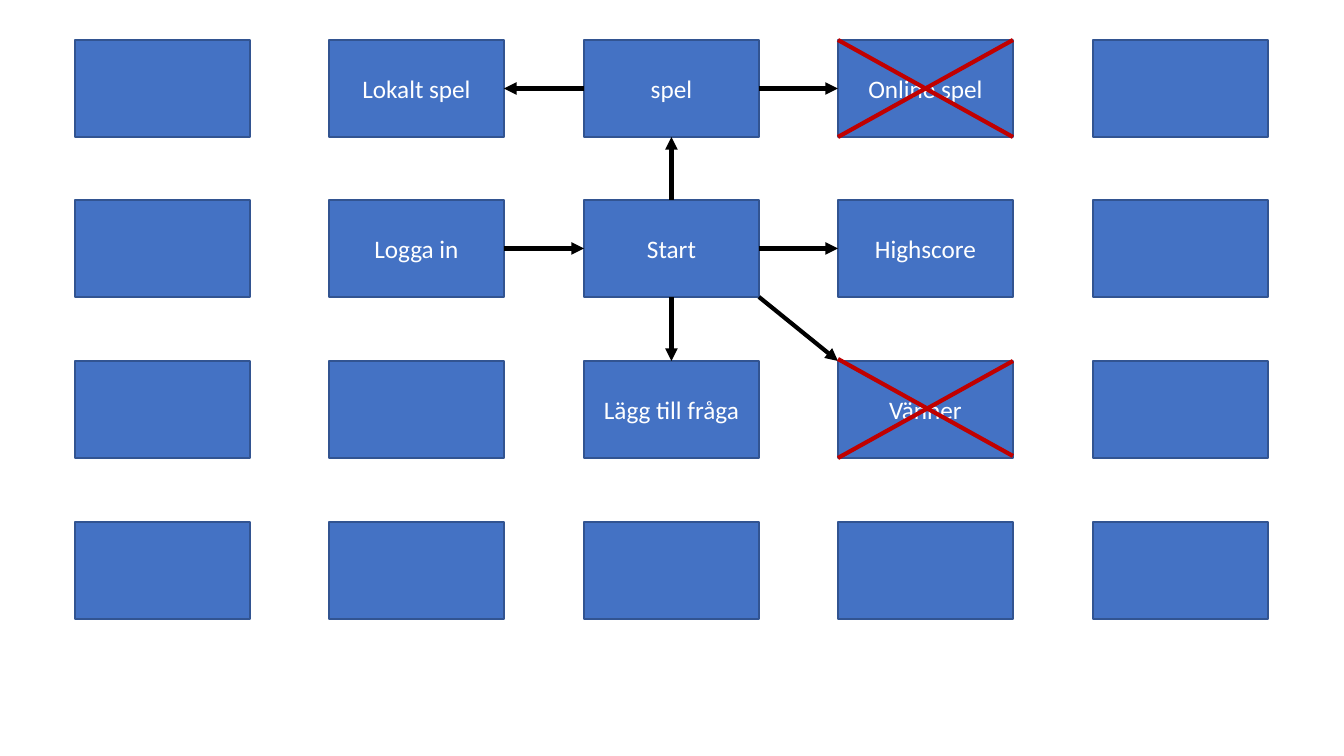
from dataclasses import dataclass

from lxml.etree import SubElement
from pptx import Presentation
from pptx.dml.color import RGBColor
from pptx.enum.shapes import MSO_CONNECTOR as Connector, MSO_SHAPE as Shape
from pptx.enum.text import MSO_ANCHOR as Anchor, PP_ALIGN as Align
from pptx.oxml.ns import qn
from pptx.util import Emu, Pt


@dataclass(frozen=True)
class Theme:
    """Colours, font and sizes of the slide."""
    fill: RGBColor = RGBColor(0x44, 0x72, 0xC4)
    border: RGBColor = RGBColor(0x32, 0x54, 0x91)
    text: RGBColor = RGBColor(0xFF, 0xFF, 0xFF)
    arrow: RGBColor = RGBColor(0x00, 0x00, 0x00)
    cross: RGBColor = RGBColor(0xC0, 0x00, 0x00)
    font: str = "Calibri"
    text_size: int = Pt(18)
    border_width: int = Pt(1)
    line_width: int = Pt(3)


theme = Theme()
SLIDE_WIDTH, SLIDE_HEIGHT = 1344, 756
SCALE = 12192000 / SLIDE_WIDTH


def emu(pixels):
    """Turn pixels into EMU."""
    return Emu(round(pixels * SCALE))


def draw_line(page, start, end, color, arrow=False):
    """Draw a straight line between two points in EMU, with an optional arrowhead."""
    line = page.shapes.add_connector(Connector.STRAIGHT, *start, *end)
    line.line.color.rgb = color
    line.line.width = theme.line_width
    if arrow:
        SubElement(line.line._get_or_add_ln(), qn("a:tailEnd"), type="triangle")
    SubElement(line._element.spPr, qn("a:effectLst"))
    return line


deck = Presentation()
deck.slide_width, deck.slide_height = emu(SLIDE_WIDTH), emu(SLIDE_HEIGHT)
page = deck.slides.add_slide(deck.slide_layouts[6])

# Grid of boxes, filled evenly between the first and last column and row
COLUMNS, ROWS = 5, 4
BOX_WIDTH, BOX_HEIGHT = 175, 97
FIRST_LEFT, LAST_LEFT = 75, 1093
FIRST_TOP, LAST_TOP = 40, 522
labels = {
    (0, 1): "Lokalt spel", (0, 2): "spel", (0, 3): "Online spel",
    (1, 1): "Logga in", (1, 2): "Start", (1, 3): "Highscore",
    (2, 2): "Lägg till fråga", (2, 3): "Vänner",
}
font_format = {"name": theme.font, "size": theme.text_size}
boxes = {}
for row in range(ROWS):
    top = FIRST_TOP + row * (LAST_TOP - FIRST_TOP) // (ROWS - 1)
    for column in range(COLUMNS):
        left = FIRST_LEFT + column * (LAST_LEFT - FIRST_LEFT) // (COLUMNS - 1)
        box = page.shapes.add_shape(
            Shape.RECTANGLE, emu(left), emu(top), emu(BOX_WIDTH), emu(BOX_HEIGHT))
        box.shadow.inherit = False
        box.fill.solid()
        box.fill.fore_color.rgb = theme.fill
        box.line.color.rgb = theme.border
        box.line.width = theme.border_width
        boxes[row, column] = box
        if (row, column) in labels:
            box.text_frame.vertical_anchor = Anchor.MIDDLE
            para = box.text_frame.paragraphs[0]
            para.alignment = Align.CENTER
            span = para.add_run()
            span.text = labels[row, column]
            for name, value in font_format.items():
                setattr(span.font, name, value)
            span.font.color.rgb = theme.text

# Arrows glued to the middles of box sides
TOP, LEFT, BOTTOM, RIGHT = range(4)
start, game = boxes[1, 2], boxes[0, 2]
arrows = [
    (start, BOTTOM, boxes[2, 2], TOP),
    (start, RIGHT, boxes[1, 3], LEFT),
    (start, TOP, game, BOTTOM),
    (game, LEFT, boxes[0, 1], RIGHT),
    (game, RIGHT, boxes[0, 3], LEFT),
    (boxes[1, 1], RIGHT, start, LEFT),
]
for source, source_side, target, target_side in arrows:
    arrow = draw_line(page, (0, 0), (0, 0), theme.arrow, arrow=True)
    arrow.begin_connect(source, source_side)
    arrow.end_connect(target, target_side)

# Diagonal arrow from corner to corner
friends = boxes[2, 3]
draw_line(page, (start.left + start.width, start.top + start.height),
          (friends.left, friends.top), theme.arrow, arrow=True)

# Crossed-out boxes, with the lift of the falling stroke
for box, lift in ((boxes[0, 3], 0), (friends, emu(2))):
    right, bottom = box.left + box.width, box.top + box.height
    draw_line(page, (box.left, box.top - lift), (right, bottom - lift), theme.cross)
    draw_line(page, (right, box.top), (box.left, bottom), theme.cross)

deck.save("out.pptx")
